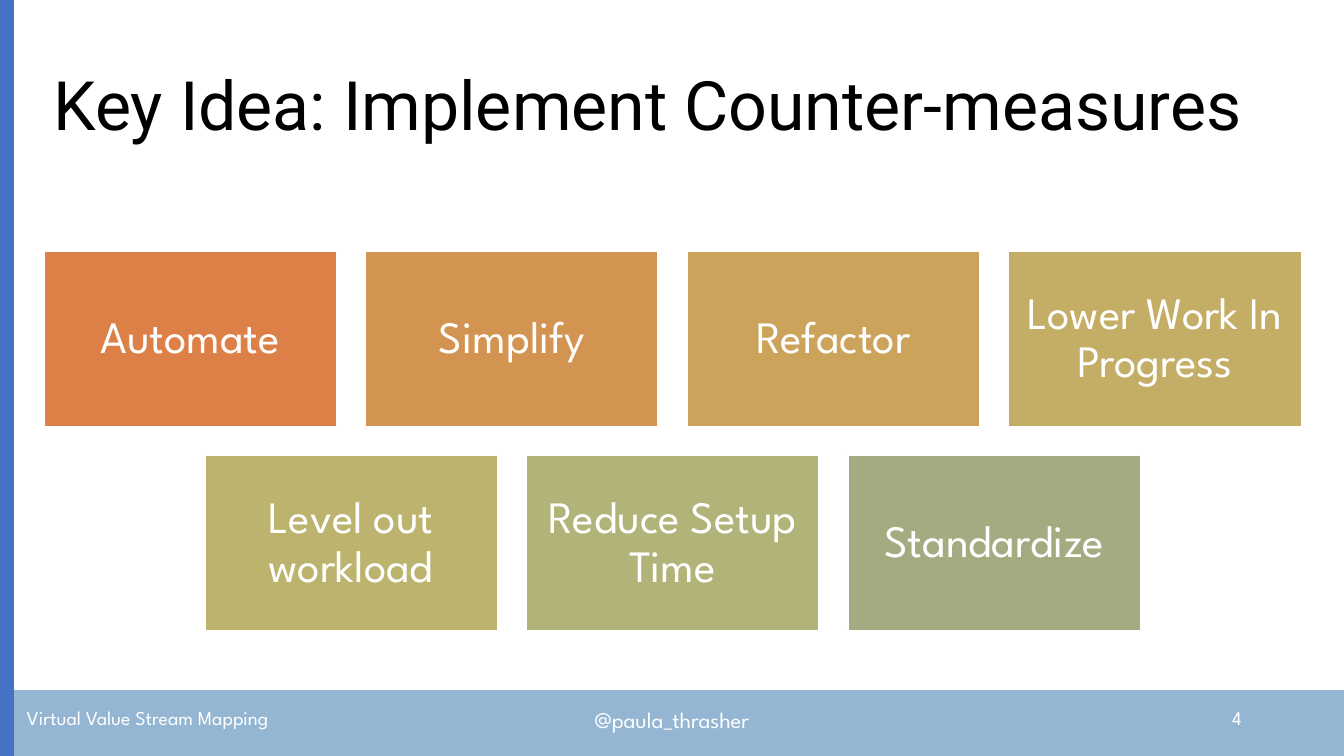
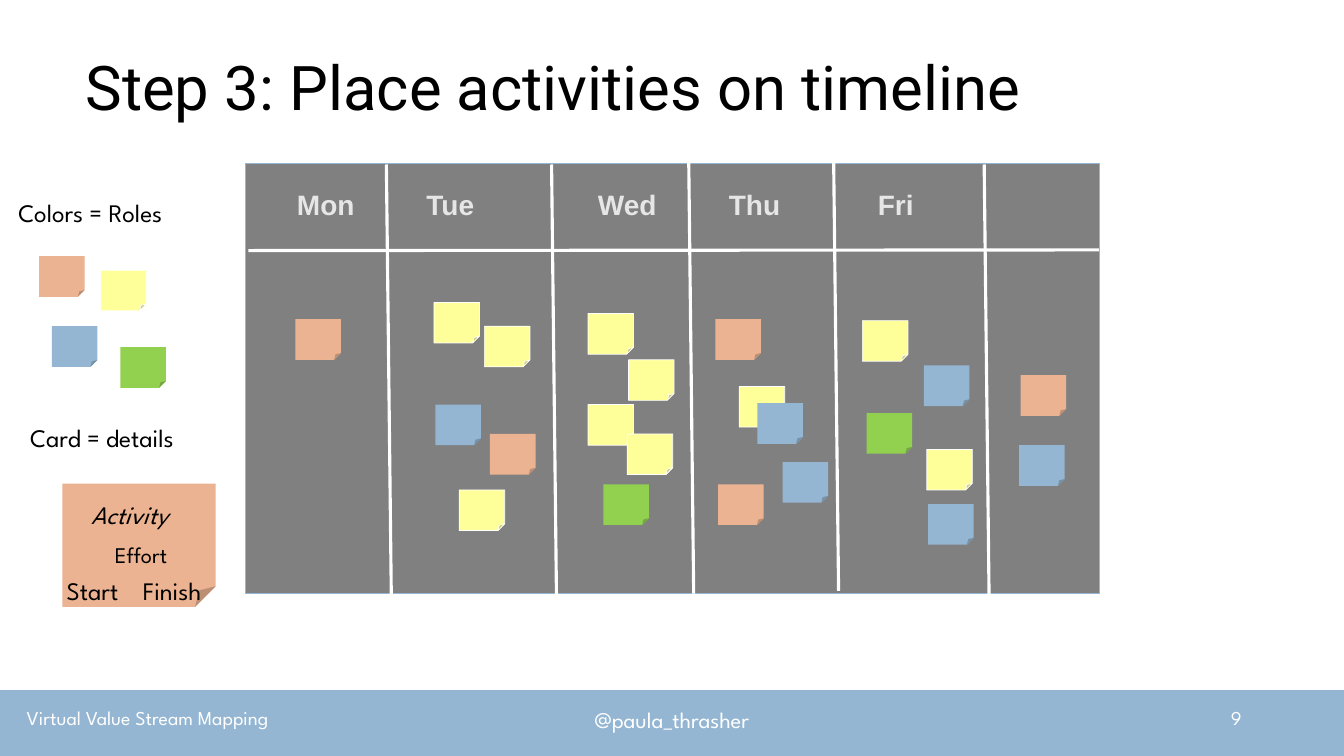
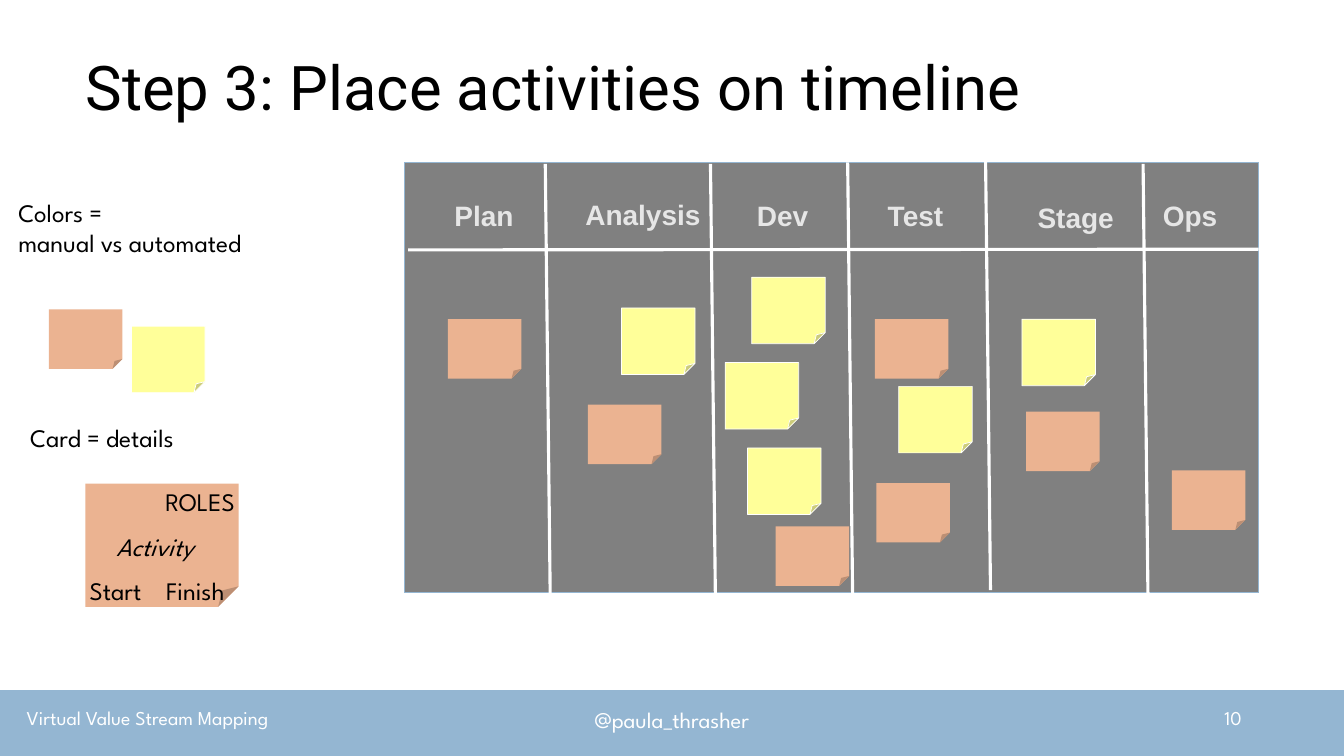
"""Builds three value stream mapping slides: counter-measures and two timelines."""
from lxml.etree import SubElement
from pptx import Presentation
from pptx.dml.color import RGBColor
from pptx.enum.shapes import MSO_CONNECTOR, MSO_SHAPE
from pptx.enum.text import MSO_ANCHOR, MSO_AUTO_SIZE, PP_ALIGN
from pptx.oxml.ns import qn
from pptx.util import Pt

rgb = RGBColor.from_string
WHITE, BLACK, GREY, PALE = "FFFFFF", "000000", "808080", "E6E6E6"
BLUE, PEACH, YELLOW, GREEN = "94B6D2", "EBB391", "FFFF99", "92D050"
TITLE = {"name": "Roboto", "size": Pt(44)}
LABEL = {"name": "League Spartan", "size": Pt(18)}
ITALIC = {**LABEL, "italic": True}
SMALL = {**LABEL, "size": Pt(16)}
FOOTER = {**LABEL, "size": Pt(14)}
CARD = {**LABEL, "size": Pt(32)}
HEADER = {"name": "Arial", "size": Pt(20), "bold": True}


def add_box(s, kind, box, fill, line=None, width=0.5):
    sp = s.shapes.add_shape(kind, *[Pt(v) for v in box])
    sp.shadow.inherit = False
    sp.fill.solid()
    sp.fill.fore_color.rgb = rgb(fill)
    if line:
        sp.line.color.rgb = rgb(line)
        sp.line.width = Pt(width)
    else:
        sp.line.fill.background()
    return sp


def write(s, text, box, fmt, color=BLACK, align=PP_ALIGN.LEFT, sp=None):
    sp = sp or s.shapes.add_textbox(*[Pt(v) for v in box])
    tf = sp.text_frame
    tf.word_wrap = True
    tf.text = text
    for p in tf.paragraphs:
        p.alignment = align
        for r in p.runs:
            r.font.color.rgb = rgb(color)
            for key, value in fmt.items():
                setattr(r.font, key, value)
    return sp


prs = Presentation()
prs.slide_width, prs.slide_height = Pt(960), Pt(540)
layout = prs.slide_layouts[5]

titles = [
    ("Key Idea: Implement Counter-measures", 4, (31, 25, 898.5, 104.5), 48.6),
    ("Step 3: Place activities on timeline", 9, (54, 29, 828, 72), 44),
    ("Step 3: Place activities on timeline", 10, (54, 29, 828, 72), 44),
]
for title, number, box, size in titles:
    s = prs.slides.add_slide(layout)
    sp = s.shapes.title
    sp.left, sp.top, sp.width, sp.height = [Pt(v) for v in box]
    write(s, title, box, {**TITLE, "size": Pt(size)}, sp=sp)
    tf = sp.text_frame
    tf.auto_size = MSO_AUTO_SIZE.NONE
    tf.vertical_anchor = MSO_ANCHOR.MIDDLE
    tf.paragraphs[0].line_spacing = 0.9
    write(s, str(number), (678, 500.5, 216, 29), FOOTER, WHITE, PP_ALIGN.RIGHT)

s = prs.slides[0]
footer = [
    add_box(s, MSO_SHAPE.RECTANGLE, (0, 493, 960, 47), BLUE),
    write(s, "Virtual Value Stream Mapping", (12, 500.5, 259, 29), FOOTER, WHITE),
    write(s, "@paula_thrasher", (318, 500.5, 324, 29), SMALL, WHITE, PP_ALIGN.CENTER),
]
for sp in footer:
    layout.shapes.element.append(sp.element)

add_box(s, MSO_SHAPE.RECTANGLE, (0, 0, 10, 540), "4472C4")
card_rows = [
    [("Automate", "DD8047"), ("Simplify", "D49451"),
     ("Refactor", "CCA35B"), ("Lower Work In Progress", "C4AD64")],
    [("Level out workload", "BBB36E"), ("Reduce Setup Time", "B2B378"),
     ("Standardize", "A5AB81")],
]
card_w, card_h, gap = 209, 125.3, 20.7
for row, cards in enumerate(card_rows):
    left = 480.5 - (len(cards) * (card_w + gap) - gap) / 2
    top = 179.5 + row * (card_h + gap)
    for col, (text, fill) in enumerate(cards):
        box = (left + col * (card_w + gap), top, card_w, card_h)
        sp = add_box(s, MSO_SHAPE.RECTANGLE, box, fill, WHITE, 1)
        write(s, text, box, CARD, WHITE, PP_ALIGN.CENTER, sp)
        tf = sp.text_frame
        tf.vertical_anchor = MSO_ANCHOR.MIDDLE
        tf.paragraphs[0].line_spacing = 0.9
        for side in ("left", "top", "right", "bottom"):
            setattr(tf, f"margin_{side}", Pt(9.4))

boards = [
    {
        "origin": (175, 116.5),
        "dividers": (276, 394, 492, 595.5, 703),
        "headers": [("Mon", 205, 130.5, 57), ("Tue", 297.5, 130.5, 50),
                    ("Wed", 420, 130.5, 79), ("Thu", 513.5, 130.5, 87),
                    ("Fri", 620, 130.5, 41)],
        "note_sizes": {PEACH: (32.5, 29), YELLOW: (32.5, 29),
                       GREEN: (32.5, 29), BLUE: (32.5, 29)},
        "notes": {
            PEACH: [(28, 183), (211, 228), (350, 310), (511, 228), (513, 346), (729, 268)],
            YELLOW: [(72, 193), (310, 216), (346, 233), (328, 350), (420, 224), (449, 257),
                     (420, 289), (448, 310), (528, 276), (616, 229), (662, 321)],
            GREEN: [(86, 248), (431, 346), (619, 295)],
            BLUE: [(37, 233), (311, 289), (541, 288), (559, 330), (660, 261), (663, 360),
                   (728, 318)],
        },
        "card_left": 44.5,
        "labels": [("Colors = Roles", (6, 137.5, 135, 29), LABEL),
                   ("Activity", (58, 353, 79, 29), ITALIC),
                   ("Effort", (75, 383, 154, 27), SMALL)],
    },
    {
        "origin": (289, 116),
        "dividers": (389.5, 507.5, 605.5, 704, 816.5),
        "headers": [("Plan", 317.5, 138, 57), ("Analysis", 411, 137.5, 99),
                    ("Dev", 533.5, 138, 79), ("Test", 627, 138, 87),
                    ("Stage", 734, 139.5, 71), ("Ops", 823.5, 138, 55)],
        "note_sizes": {PEACH: (52.5, 42.5), YELLOW: (52.5, 47.5)},
        "notes": {
            PEACH: [(35, 221), (320, 228), (420, 289), (554, 376), (625, 228), (626, 345),
                    (733, 294), (837, 336)],
            YELLOW: [(94, 233), (444, 220), (537, 198), (518, 259), (534, 320), (642, 276),
                     (730, 228)],
        },
        "card_left": 61,
        "labels": [("Colors =\nmanual vs automated", (6, 137.5, 211, 51), LABEL),
                   ("ROLES", (111, 343.5, 68.5, 29), LABEL),
                   ("Activity", (76, 376, 79, 29), ITALIC)],
    },
]
for s, board in zip(list(prs.slides)[1:], boards):
    x, y = board["origin"]
    add_box(s, MSO_SHAPE.RECTANGLE, (x, y, 610, 307.5), GREY, BLUE)
    lines = [(left, y + rise, left + 3.5, y + rise + 307.5)
             for left, rise in zip(board["dividers"], (1, 1, 0, -2, 1))]
    lines.append((x + 2.5, y + 62.5, x + 610, y + 62))
    for ends in lines:
        c = s.shapes.add_connector(MSO_CONNECTOR.STRAIGHT, *[Pt(v) for v in ends])
        c.line.color.rgb = rgb(WHITE)
        c.line.width = Pt(2.25)
        SubElement(c.element.spPr, qn("a:effectLst"))
    for text, left, top, width in board["headers"]:
        write(s, text, (left, top, width, 32), HEADER, PALE)
    for fill, places in board["notes"].items():
        outline = WHITE if fill == YELLOW else None
        for place in places:
            box = (*place, *board["note_sizes"][fill])
            add_box(s, MSO_SHAPE.FOLDED_CORNER, box, fill, outline)
    left = board["card_left"]
    add_box(s, MSO_SHAPE.FOLDED_CORNER, (left, 345.5, 109.5, 88), PEACH)
    shared = [("Card = details", (14.5, 298, 196, 29), LABEL),
              ("Start", (left - 4, 407.5, 54, 29), LABEL),
              ("Finish", (left + 50.5, 407.5, 101.5, 29), LABEL)]
    for text, box, fmt in board["labels"] + shared:
        write(s, text, box, fmt)

prs.save("out.pptx")
